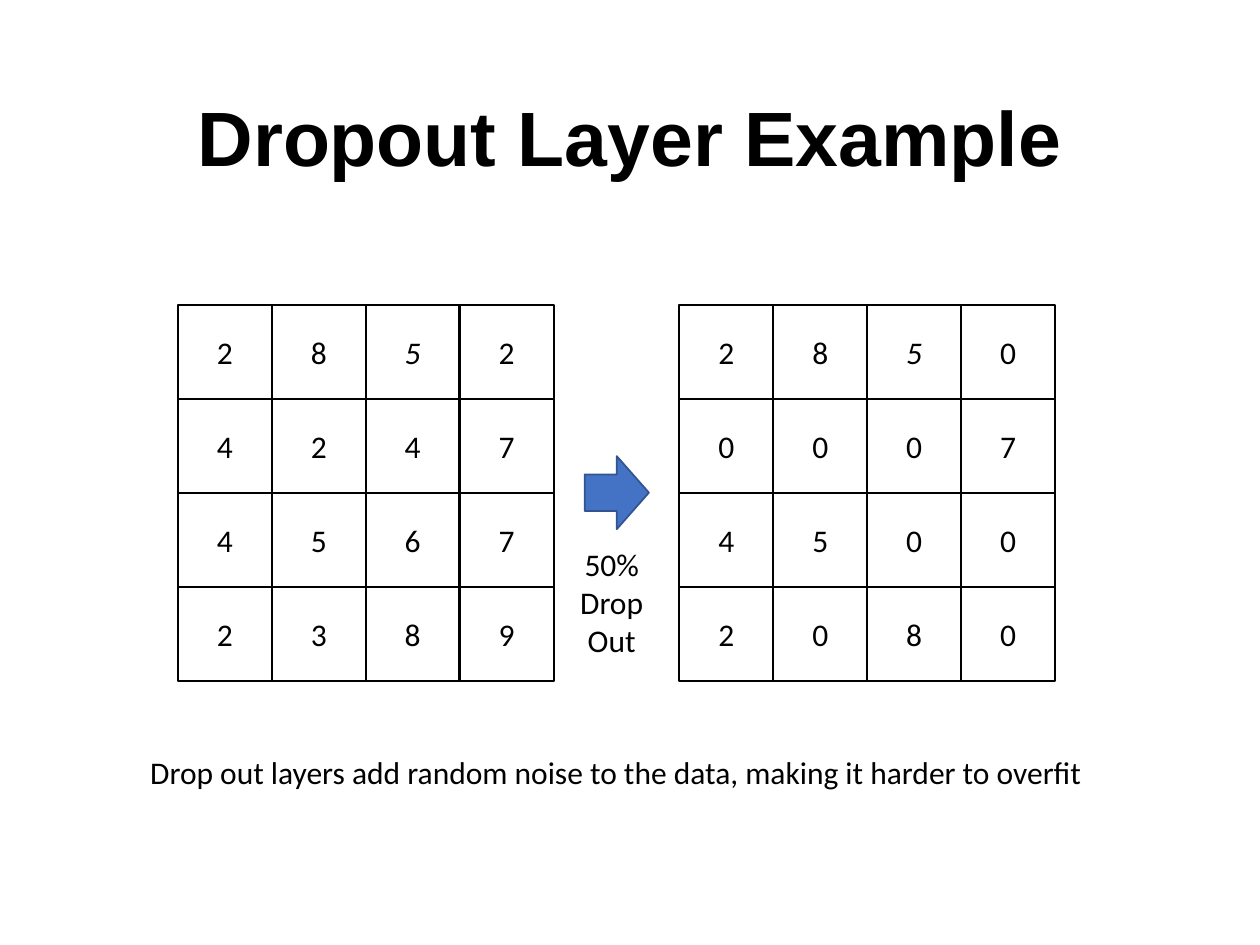
"""Build a slide showing a number grid before and after dropout."""
from dataclasses import dataclass, field

from pptx import Presentation
from pptx.dml.color import RGBColor
from pptx.enum.shapes import MSO_SHAPE
from pptx.enum.text import MSO_ANCHOR, PP_ALIGN
from pptx.slide import Slide
from pptx.text.text import TextFrame
from pptx.util import Inches, Pt

BLACK = RGBColor(0x00, 0x00, 0x00)
BLUE = RGBColor(0x44, 0x72, 0xC4)
DARK_BLUE = RGBColor(0x32, 0x54, 0x91)

CELL = 0.75
PITCH = 2.98 / 4
GRID_TOP = 2.42
BODY = {"name": "Calibri", "size": Pt(18)}
TITLE = {"name": "Arial", "size": Pt(44), "bold": True}


@dataclass
class Grid:
    left: float
    rows: tuple[str, ...]
    italic_at: tuple[int, int] = (0, 2)


@dataclass
class Label:
    text: str
    left: float
    top: float
    width: float
    height: float
    anchor: MSO_ANCHOR = MSO_ANCHOR.TOP
    line_spacing: float = 1.0
    style: dict = field(default_factory=lambda: BODY)


GRIDS = (
    Grid(1.41, ("2852", "4247", "4567", "2389")),
    Grid(5.39, ("2850", "0007", "4500", "2080")),
)
LABELS = (
    Label("Dropout Layer Example", 0.69, 0.4, 8.62, 1.45, MSO_ANCHOR.MIDDLE, 0.9, TITLE),
    Label("50% Drop Out", 4.44, 4.28, 0.83, 1.01),
    Label("Drop out layers add random noise to the data, making it harder to overfit",
          0.84, 5.93, 8.1, 0.4),
)


def write(tf: TextFrame, text: str, style: dict, anchor: MSO_ANCHOR,
          line_spacing: float = 1.0) -> None:
    tf.word_wrap = True
    tf.vertical_anchor = anchor
    p = tf.paragraphs[0]
    p.alignment = PP_ALIGN.CENTER
    p.line_spacing = line_spacing
    r = p.add_run()
    r.text = text
    r.font.color.rgb = BLACK
    for key, value in style.items():
        setattr(r.font, key, value)


def draw_grid(s: Slide, grid: Grid) -> None:
    group = s.shapes.add_group_shape()
    for row, digits in enumerate(grid.rows):
        for col, digit in enumerate(digits):
            sp = group.shapes.add_shape(
                MSO_SHAPE.RECTANGLE, Inches(grid.left + col * PITCH),
                Inches(GRID_TOP + row * PITCH), Inches(CELL), Inches(CELL))
            sp.shadow.inherit = False
            sp.fill.background()
            sp.line.color.rgb = BLACK
            sp.line.width = Pt(1)
            style = BODY | {"italic": (row, col) == grid.italic_at}
            write(sp.text_frame, digit, style, MSO_ANCHOR.MIDDLE)


def draw_arrow(s: Slide) -> None:
    sp = s.shapes.add_shape(MSO_SHAPE.RIGHT_ARROW, Inches(4.64), Inches(3.62),
                            Inches(0.51), Inches(0.58))
    sp.shadow.inherit = False
    sp.fill.solid()
    sp.fill.fore_color.rgb = BLUE
    sp.line.color.rgb = DARK_BLUE
    sp.line.width = Pt(1)


def draw_label(s: Slide, label: Label) -> None:
    sp = s.shapes.add_textbox(Inches(label.left), Inches(label.top),
                              Inches(label.width), Inches(label.height))
    write(sp.text_frame, label.text, label.style, label.anchor, label.line_spacing)


def main() -> None:
    prs = Presentation()
    prs.slide_width, prs.slide_height = Inches(10), Inches(7.5)
    s = prs.slides.add_slide(prs.slide_layouts[6])
    for grid in GRIDS:
        draw_grid(s, grid)
    draw_arrow(s)
    for label in LABELS:
        draw_label(s, label)
    prs.save("out.pptx")


if __name__ == "__main__":
    main()
